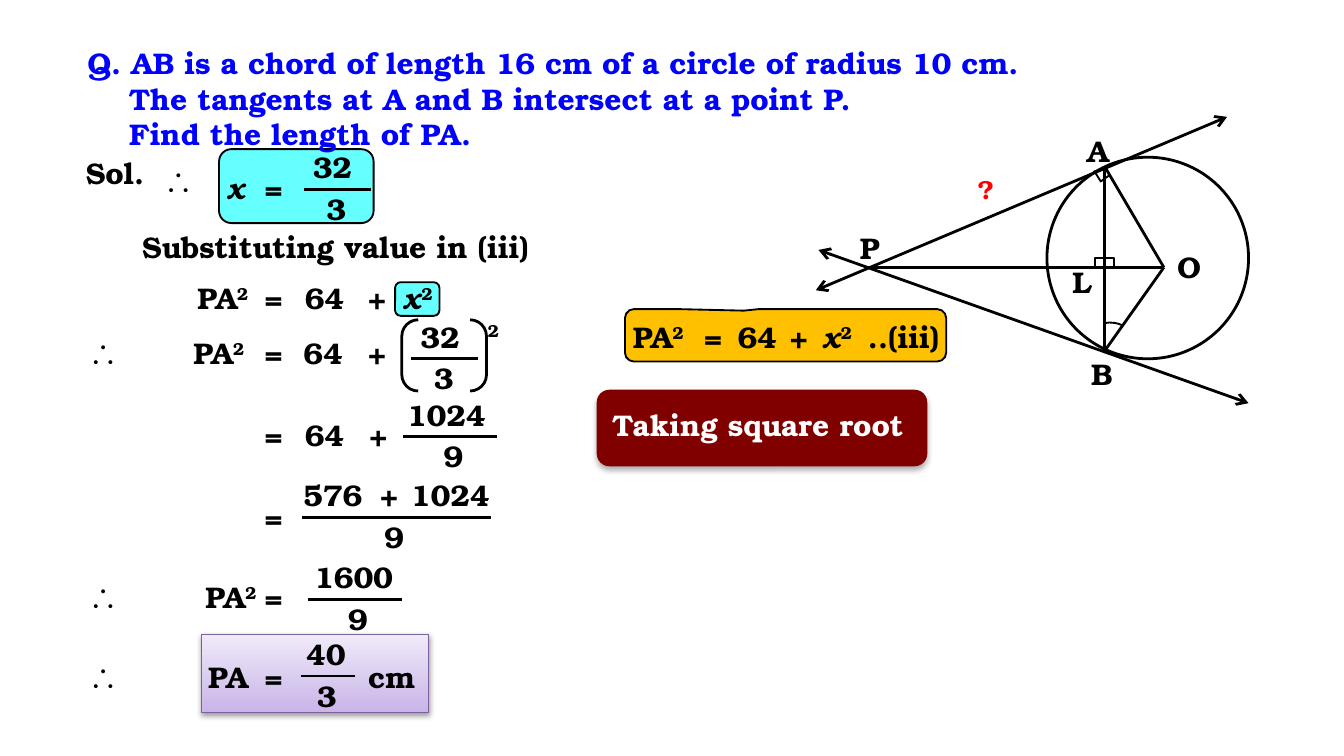
import lxml.etree
import pptx
import pptx.dml.color
import pptx.enum.shapes
import pptx.enum.text
import pptx.oxml.ns
import pptx.util

Inches = pptx.util.Inches
Pt = pptx.util.Pt
KIND = pptx.enum.shapes.MSO_SHAPE
BLACK = "000000"
FACE = {"name": "TeX Gyre Bonum", "size": Pt(16), "bold": True}
# Widths of the labels that do not wrap
WIDTHS = {"=": 0.34, "+": 0.34, "64": 0.5, "PA": 0.51, "PA²": 0.61,
          "x": 0.34, "x²": 0.44, "∴": 0.4, "cm": 0.56, "?": 0.33,
          "Sol.": 0.72, "..(iii)": 0.74, "Substituting value in (iii)": 3.13}


def color(code):
    return pptx.dml.color.RGBColor.from_string(code)


def node(parent, tag, **attrs):
    return lxml.etree.SubElement(parent, pptx.oxml.ns.qn(tag), attrs)


def style(font, tint=BLACK, **more):
    for key, value in {**FACE, **more}.items():
        setattr(font, key, value)
    font.color.rgb = color(tint)


def label(slide, box, text, x, y, width=None, tint=BLACK, align=None, **more):
    """Place text; ² becomes a raised 2, x is italic, a given width wraps."""
    area = slide.shapes.add_textbox(
        Inches(box[0] + x), Inches(box[1] + y),
        Inches(width or WIDTHS[text]), Inches(0.37))
    frame = area.text_frame
    frame.word_wrap = width is not None
    frame.auto_size = pptx.enum.text.MSO_AUTO_SIZE.SHAPE_TO_FIT_TEXT
    para = frame.paragraphs[0]
    para.alignment = align
    base, mark, _ = text.partition("²")
    if base:
        run = para.add_run()
        run.text = base
        font = {"name": "Arial"} if base == "∴" else {}
        style(run.font, tint, italic=base == "x", **font, **more)
    if mark:
        run = para.add_run()
        run.text = "2"
        style(run.font, tint, **more)
        run._r.get_or_add_rPr().set("baseline", "30000")


def row(slide, box, y, *parts):
    for text, x in parts:
        label(slide, box, text, x, y)


def outline(shape, tint, weight):
    shape.shadow.inherit = False
    if tint:
        shape.line.color.rgb = color(tint)
        shape.line.width = Pt(weight)
    else:
        shape.line.fill.background()


def panel(slide, box, kind, place, fill=None, tint=BLACK, weight=1, adjust=()):
    x, y, w, h = place
    shape = slide.shapes.add_shape(
        kind, Inches(box[0] + x), Inches(box[1] + y), Inches(w), Inches(h))
    outline(shape, tint, weight)
    if fill:
        shape.fill.solid()
        shape.fill.fore_color.rgb = color(fill)
    else:
        shape.fill.background()
    for i, value in enumerate(adjust):
        shape.adjustments[i] = value
    return shape


def shade(shape, blur, dist, alpha):
    """Add a soft shadow that falls straight down."""
    effects = shape._element.spPr.find(pptx.oxml.ns.qn("a:effectLst"))
    outer = node(effects, "a:outerShdw", blurRad=str(Pt(blur)),
                 dist=str(Pt(dist)), dir="5400000", rotWithShape="0")
    tone = node(outer, "a:srgbClr", val=BLACK)
    node(tone, "a:alpha", val=str(alpha * 1000))


def line(slide, box, start, end, arrows=False):
    x, y = box[:2]
    rule = slide.shapes.add_connector(
        pptx.enum.shapes.MSO_CONNECTOR.STRAIGHT,
        Inches(x + start[0]), Inches(y + start[1]),
        Inches(x + end[0]), Inches(y + end[1]))
    rule.line.color.rgb = color(BLACK)
    rule.line.width = Pt(1.5)
    if arrows:
        for tag in ("a:headEnd", "a:tailEnd"):
            node(rule.line._get_or_add_ln(), tag, type="arrow")
    node(rule._element.spPr, "a:effectLst")


def corner(slide, box, *points):
    """Draw an open right-angle mark."""
    spots = [(Inches(box[0] + x), Inches(box[1] + y)) for x, y in points]
    pen = slide.shapes.build_freeform(*spots[0])
    pen.add_line_segments(spots[1:], close=False)
    shape = pen.convert_to_shape()
    shape.fill.background()
    outline(shape, BLACK, 1)


def fraction(slide, box, x, y, width, above, below, shift):
    """Draw a bar at x, y; above holds (text, offset, width) parts."""
    line(slide, box, (x, y), (x + width, y))
    for text, dx, room in above:
        label(slide, box, text, x + dx, y - 0.35, room)
    label(slide, box, below, x + shift, y - 0.04, 0.4)


def working(slide, box):
    cyan = "66FFFF"
    panel(slide, box, KIND.ROUNDED_RECTANGLE, (1.13, 0.11, 1.15, 0.55), cyan)
    panel(slide, box, KIND.ROUNDED_RECTANGLE, (2.44, 1.1, 0.33, 0.25), cyan)
    result = panel(slide, box, KIND.RECTANGLE, (1, 3.72, 1.69, 0.58),
                   tint="7D60A0", weight=0.75)
    result.fill.gradient()
    result.fill.gradient_angle = 90
    for stop, tint in zip(result.fill.gradient_stops, ("C9B5E8", "F0EAF9")):
        stop.color.rgb = color(tint)
    shade(result, 3.1, 1.6, 38)

    equal = ("=", 1.37)
    row(slide, box, 0.1, ("Sol.", 0.04))
    row(slide, box, 0.16, ("∴", 0.62))
    row(slide, box, 0.21, ("x", 1.09), equal)
    row(slide, box, 0.65, ("Substituting value in (iii)", 0.46))
    row(slide, box, 1.03, ("PA²", 0.87), equal, ("64", 1.67), ("+", 2.14),
        ("x²", 2.4))
    row(slide, box, 1.44, ("∴", 0.06), ("PA²", 0.84), equal, ("64", 1.66),
        ("+", 2.14))
    row(slide, box, 2.05, equal, ("64", 1.67), ("+", 2.15))
    row(slide, box, 2.66, equal)
    row(slide, box, 3.26, ("∴", 0.06), ("PA²", 0.93), equal)
    row(slide, box, 3.85, ("∴", 0.06), ("PA", 0.95), equal, ("cm", 2.14))

    panel(slide, box, KIND.DOUBLE_BRACKET, (2.49, 1.38, 0.63, 0.53),
          weight=1.5, adjust=[0.23])
    label(slide, box, "²", 3.03, 1.31, 0.4)
    for x, y in ((1.76, 0.41), (2.56, 1.67)):
        fraction(slide, box, x, y, 0.5, [("32", -0.03, 0.54)], "3", 0.07)
    fraction(slide, box, 2.5, 2.25, 0.7, [("1024", -0.07, 0.92)], "9", 0.2)
    fraction(slide, box, 1.75, 2.85, 1.4,
             [("576", -0.09, 0.76), ("+", 0.48, None), ("1024", 0.71, 0.96)],
             "9", 0.51)
    fraction(slide, box, 1.79, 3.46, 0.7, [("1600", -0.05, 0.92)], "9", 0.2)
    fraction(slide, box, 1.74, 4.03, 0.4, [("40", -0.06, 0.57)], "3", 0.02)


def formula(slide, box):
    panel(slide, box, KIND.ROUNDED_RECTANGULAR_CALLOUT, (0, 0, *box[2:]),
          "FFC000", adjust=[-0.13, -0.47, 0.17])
    row(slide, box, 0.02, ("PA²", -0.04), ("=", 0.49), ("64", 0.74),
        ("+", 1.13), ("x²", 1.37), ("..(iii)", 1.71))


def hint(slide, box):
    plate = panel(slide, box, KIND.ROUNDED_RECTANGLE, (0, 0, *box[2:]),
                  "800000", tint=None)
    shade(plate, 3.5, 2.2, 32)
    label(slide, box, "Taking square root", -0.08, 0.08, box[2] + 0.1,
          tint="FFFFFF", align=pptx.enum.text.PP_ALIGN.CENTER)


def diagram(slide, box):
    label(slide, box, "?", 1.17, 0.44, tint="FF0000", size=Pt(14))
    panel(slide, box, KIND.OVAL, (1.79, 0.37, 1.5, 1.5), weight=1.5)
    line(slide, box, (3.13, 0.07), (0.07, 1.36), arrows=True)
    line(slide, box, (3.29, 2.2), (0.09, 1.06), arrows=True)
    a, b, p, o = (2.22, 0.44), (2.22, 1.81), (0.46, 1.19), (2.66, 1.19)
    for start, end in ((a, b), (p, o), (b, o), (o, a)):
        line(slide, box, start, end)
    angle = panel(slide, box, KIND.ARC, (2.05, 1.6, 0.42, 0.42),
                  adjust=[184.82, 207.53])
    angle.rotation = 309.5
    for name, x, y in (("B", 2.02, 1.8), ("P", 0.3, 0.86), ("A", 1.99, 0.14),
                       ("L", 1.88, 1.11), ("O", 2.66, 1)):
        label(slide, box, name, x, y, 0.38)
    for side in (-0.07, 0.07):
        corner(slide, box, (2.22, 1.12), (2.22 + side, 1.12),
               (2.22 + side, 1.19))
    corner(slide, box, (2.26, 0.5), (2.19, 0.55), (2.14, 0.47))


def question(slide, box):
    title = slide.shapes.title
    title.left, title.top, title.width, title.height = map(Inches, box)
    frame = title.text_frame
    frame.word_wrap = True
    frame.auto_size = pptx.enum.text.MSO_AUTO_SIZE.NONE
    frame.vertical_anchor = pptx.enum.text.MSO_ANCHOR.TOP
    frame.text = ("Q. AB is a chord of length 16 cm of a circle of radius "
                  "10 cm. The tangents at A and B intersect at a point P.\n"
                  "Find the length of PA.")
    for para, indent in zip(frame.paragraphs, (-0.31, 0)):
        para.alignment = pptx.enum.text.PP_ALIGN.LEFT
        props = para._p.get_or_add_pPr()
        props.set("marL", str(Inches(0.31)))
        props.set("indent", str(Inches(indent)))
        style(para.runs[0].font, "0000FF")
    # The question lies over the highlight below it
    slide.shapes._spTree.append(title._element)


def main():
    deck = pptx.Presentation()
    deck.slide_width = Inches(10)
    deck.slide_height = deck.slide_width * 9 // 16
    slide = deck.slides.add_slide(deck.slide_layouts[5])
    working(slide, (0.5, 1, 3.5, 4.3))
    formula(slide, (4.65, 2.3, 2.39, 0.39))
    hint(slide, (4.44, 2.9, 2.46, 0.57))
    diagram(slide, (6, 0.8, 3.3, 2.25))
    question(slide, (0.55, 0.28, 7.57, 0.91))
    deck.save("out.pptx")


if __name__ == "__main__":
    main()
